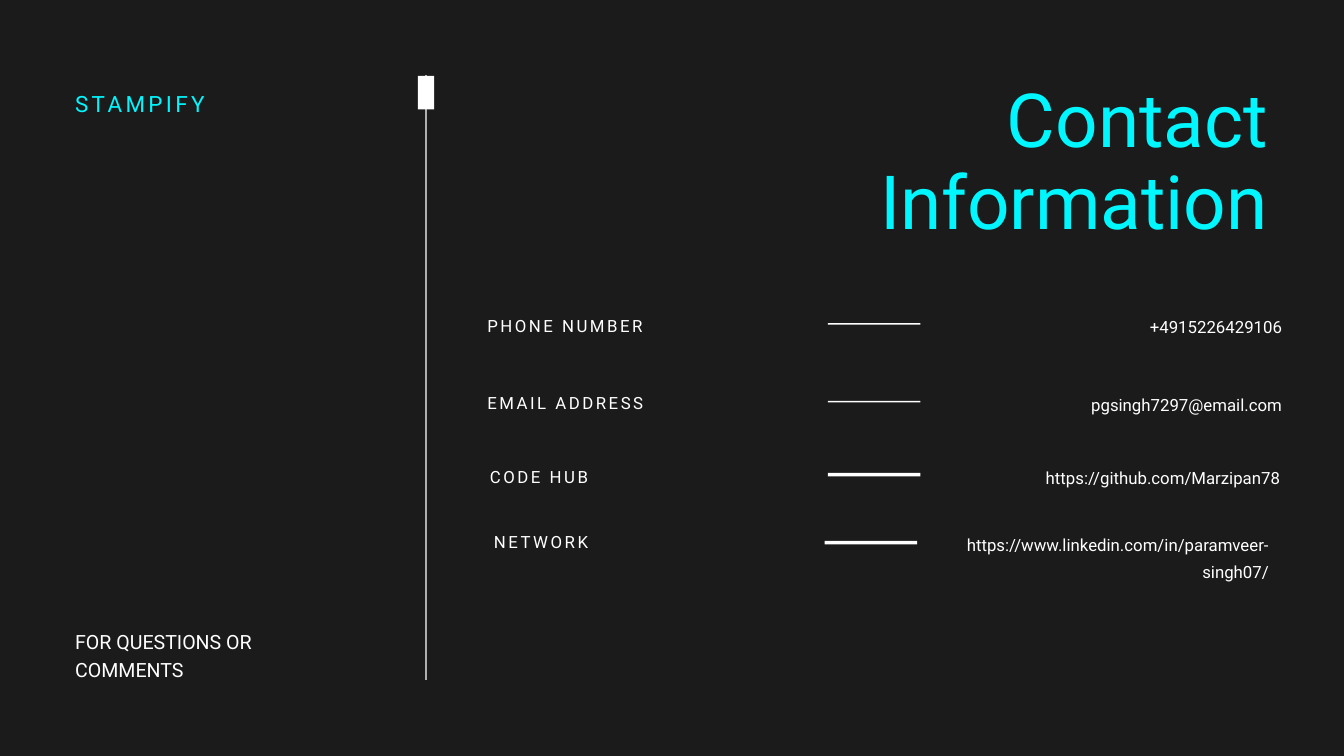
"""Build a dark contact slide with a divider and four labelled rows."""
from pptx import Presentation
from pptx.dml.color import RGBColor
from pptx.enum.shapes import MSO_SHAPE
from pptx.enum.text import PP_ALIGN
from pptx.util import Cm, Pt

DARK, WHITE, CYAN = "1B1B1B", "FFFFFF", "00F7FF"
FONT = "Roboto"

TEXTS = [
    ("FOR QUESTIONS OR COMMENTS", (2.84, 23.67, 8.48, 2.06), 21, 29.4, WHITE, 0, False),
    ("Contact Information", (23.55, 3.05, 24.38, 6.3), 80, 88, CYAN, 0, True),
    ("STAMPIFY", (2.84, 3.25, 14.96, 1.12), 24, 33.6, CYAN, 3.6, False),
]
BARS = [(16.08, 2.84, 0.05, 22.86), (15.8, 2.87, 0.61, 1.27)]

# label, (left, top); rule (left, top, height); value, (left, top, width, height)
ROWS = [
    ("PHONE NUMBER", (18.42, 11.81), (31.29, 12.22, 0.05),
     "+4915226429106", (37.59, 11.73, 10.87, 0.89)),
    ("EMAIL ADDRESS", (18.42, 14.73), (31.29, 15.16, 0.05),
     "pgsingh7297@email.com", (37.59, 14.68, 10.87, 0.89)),
    ("CODE HUB", (18.52, 17.53), (31.29, 17.88, 0.13),
     "https://github.com/Marzipan78", (35.64, 17.42, 12.75, 0.91)),
    ("NETWORK", (18.67, 19.96), (31.17, 20.45, 0.13),
     "https://www.linkedin.com/in/paramveer-singh07/", (36.3, 19.96, 11.66, 1.96)),
]
LABEL = (10.08, 0.81)
RULE = 3.5


def tint(code):
    return RGBColor.from_string(code)


def add_text(slide, text, box, size, line, color, gap=0, right=False):
    frame = slide.shapes.add_textbox(*map(Cm, box)).text_frame
    frame.word_wrap = True
    frame.margin_left = frame.margin_right = 0
    frame.margin_top = frame.margin_bottom = 0
    para = frame.paragraphs[0]
    para.alignment = PP_ALIGN.RIGHT if right else PP_ALIGN.LEFT
    para.line_spacing = Pt(line)
    run = para.add_run()
    run.text = text
    para.font.name = FONT
    para.font.size = Pt(size)
    para.font.color.rgb = tint(color)
    if gap:
        run._r.get_or_add_rPr().set("spc", str(round(gap * 100)))


def add_bar(slide, box):
    bar = slide.shapes.add_shape(MSO_SHAPE.RECTANGLE, *map(Cm, box))
    bar.shadow.inherit = False
    bar.fill.solid()
    bar.fill.fore_color.rgb = tint(WHITE)
    bar.line.fill.background()


def main():
    deck = Presentation()
    deck.slide_width, deck.slide_height = Cm(50.8), Cm(28.58)
    slide = deck.slides.add_slide(deck.slide_layouts[6])
    slide.background.fill.solid()
    slide.background.fill.fore_color.rgb = tint(DARK)
    for item in TEXTS:
        add_text(slide, *item)
    for box in BARS:
        add_bar(slide, box)
    for label, spot, (left, top, thick), value, box in ROWS:
        add_text(slide, label, spot + LABEL, 18, 25.2, WHITE, 2.7)
        add_bar(slide, (left, top, RULE, thick))
        add_text(slide, value, box, 18, 28.8, WHITE, right=True)
    deck.save("out.pptx")


if __name__ == "__main__":
    main()
